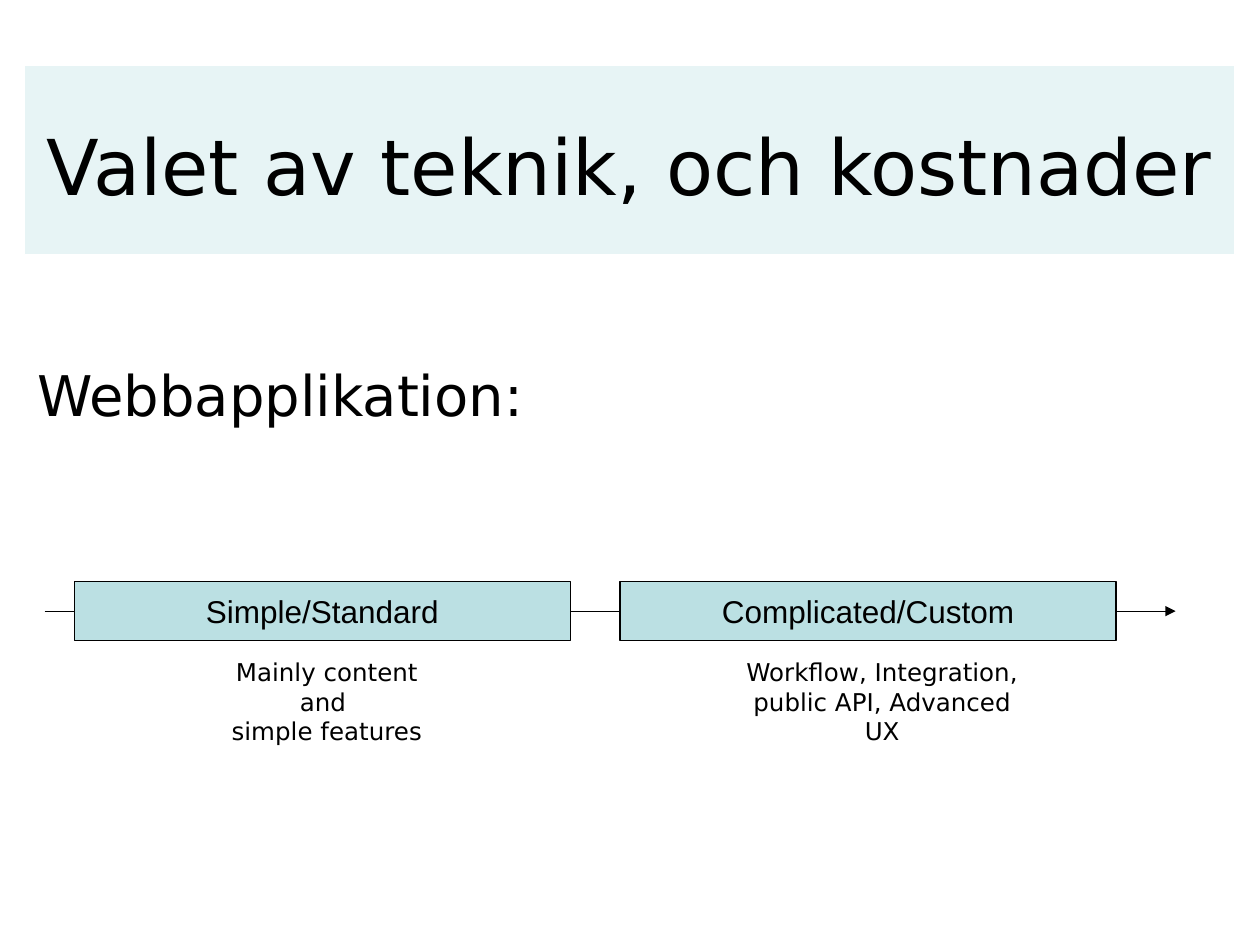
import pptx
import pptx.util
import pptx.dml.color
import pptx.enum.shapes
import pptx.enum.text
import pptx.oxml.ns
import lxml.etree

Cm = pptx.util.Cm
Pt = pptx.util.Pt
ALIGN = pptx.enum.text.PP_ALIGN
ANCHOR = pptx.enum.text.MSO_ANCHOR
COLORS = {"teal": "BBE0E3", "black": "000000", "white": "FFFFFF"}
TEXT_FONT = "DejaVu Sans"
BOX_FONT = "Arial"
STAGES = [
    ("Simple/Standard", "Mainly content and \vsimple features", 4.04, 5.1),
    ("Complicated/Custom", "Workflow, Integration,\vpublic API, Advanced UX", 14.71, 6.15),
]


def rgb(name):
    return pptx.dml.color.RGBColor.from_string(COLORS[name])


def sub(parent, tag, **attrs):
    return lxml.etree.SubElement(parent, pptx.oxml.ns.qn(tag), **attrs)


def write(sp, text, size, font=TEXT_FONT, align=ALIGN.CENTER, anchor=ANCHOR.TOP):
    tf = sp.text_frame
    tf.text = text
    tf.word_wrap = True
    tf.auto_size = pptx.enum.text.MSO_AUTO_SIZE.NONE
    tf.vertical_anchor = anchor
    p = tf.paragraphs[0]
    p.alignment = align
    for r in p.runs:
        r.font.size = Pt(size)
        r.font.name = font
        r.font.color.rgb = rgb("black")
    return p


def add_title(s, text):
    sp = s.shapes.title
    sp.left, sp.top, sp.width, sp.height = Cm(0), Cm(1.32), Cm(25.4), Cm(3.99)
    write(sp, text, 44, anchor=ANCHOR.MIDDLE)


def add_box(s, x, y, w, h, line):
    sp = s.shapes.add_shape(
        pptx.enum.shapes.MSO_SHAPE.RECTANGLE, Cm(x), Cm(y), Cm(w), Cm(h))
    sp.shadow.inherit = False
    sp.fill.solid()
    sp.fill.fore_color.rgb = rgb("teal")
    sp.line.color.rgb = rgb(line)
    sp.line.width = Pt(0.75)
    return sp


def add_band(s):
    sp = add_box(s, 0.5, 1.32, 24.4, 3.81, "white")
    color = sp.fill._xPr.find(".//" + pptx.oxml.ns.qn("a:srgbClr"))
    sub(color, "a:alpha", val="35000")
    s.shapes.title._element.addprevious(sp._element)


def add_text(s, x, y, w, h, text, size, align=ALIGN.CENTER):
    sp = s.shapes.add_textbox(Cm(x), Cm(y), Cm(w), Cm(h))
    return write(sp, text, size, align=align)


def add_arrow(s, x1, x2, y):
    line = s.shapes.add_connector(
        pptx.enum.shapes.MSO_CONNECTOR.STRAIGHT, Cm(x1), Cm(y), Cm(x2), Cm(y))
    line.line.color.rgb = rgb("black")
    line.line.width = Pt(0.75)
    sub(line.line._get_or_add_ln(), "a:tailEnd", type="triangle", w="med", len="med")
    sub(line._element.spPr, "a:effectLst")


def main():
    prs = pptx.Presentation()
    prs.slide_width, prs.slide_height = Cm(25.4), Cm(19.05)
    s = prs.slides.add_slide(prs.slide_layouts[5])
    add_title(s, "Valet av teknik, och kostnader")
    add_band(s)
    p = add_text(s, 0.5, 7.14, 24.4, 1.8, "Webbapplikation:", 32, ALIGN.LEFT)
    p.space_before = Pt(8)
    add_arrow(s, 0.9, 23.7, 12.32)
    for i, (name, detail, x, w) in enumerate(STAGES):
        sp = add_box(s, 1.5 + 11 * i, 11.73, 10, 1.19, "black")
        write(sp, name, 18, BOX_FONT, anchor=ANCHOR.MIDDLE)
        add_text(s, x, 13.13, w, 1.45, detail, 14)
    prs.save("out.pptx")


if __name__ == "__main__":
    main()
